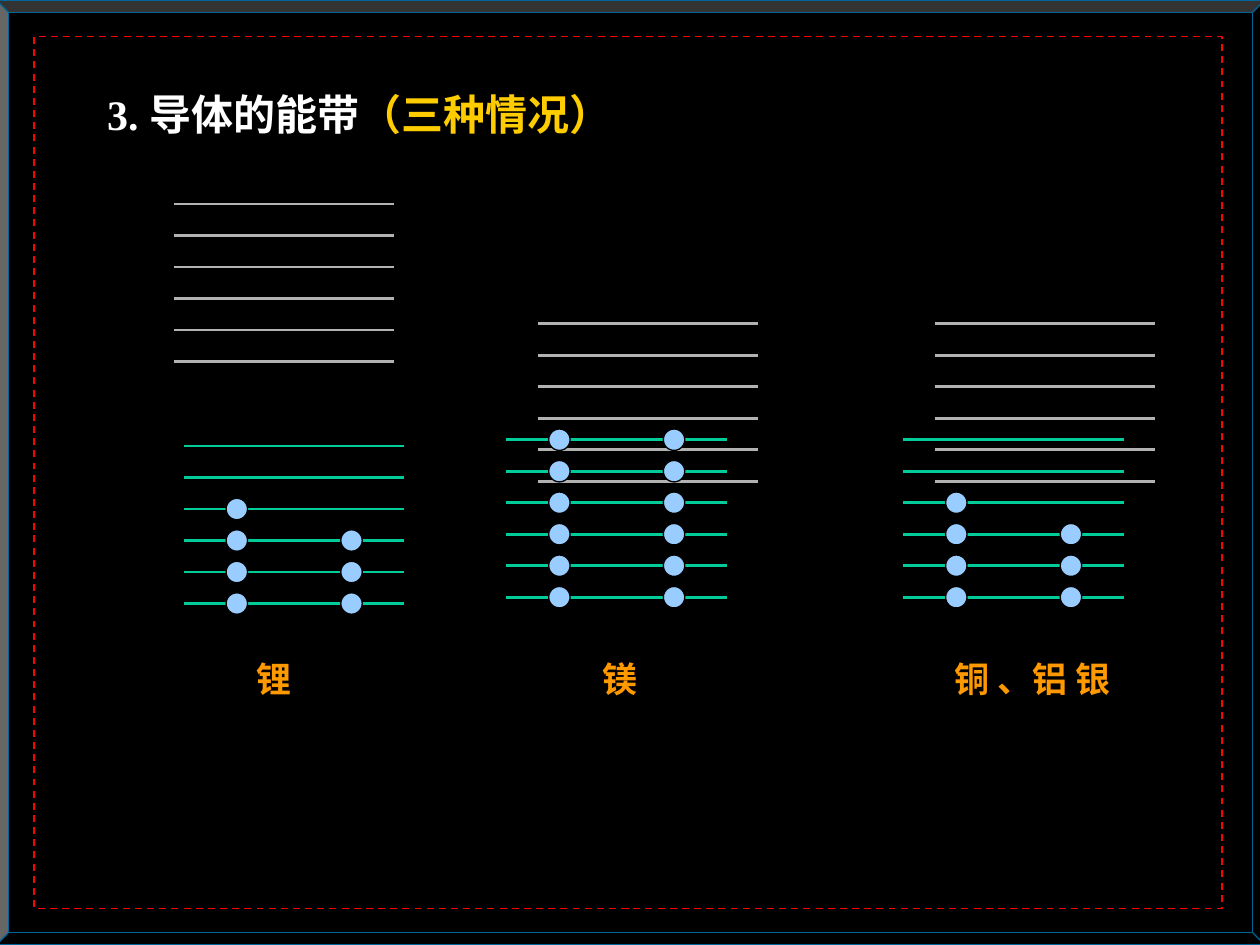
from lxml import etree
from pptx import Presentation
from pptx import util as u
from pptx.dml.color import RGBColor
from pptx.enum import dml, shapes, text
from pptx.oxml.ns import qn

CJK = "Noto Sans CJK SC"
LEVELS = 6
LEVEL_GAP = 0.25
LEVEL_WIDTH = 1.75
DOT = 0.17
DOT_COLUMNS = (0.42, 1.33)


def colour(value):
    """Turn a hex string into a colour."""
    return RGBColor.from_string(value)


def paint(shape, line, width, fill=None):
    """Give a shape its fill and outline, without a shadow."""
    shape.shadow.inherit = False
    if fill:
        shape.fill.solid()
        shape.fill.fore_color.rgb = colour(fill)
    else:
        shape.fill.background()
    shape.line.color.rgb = colour(line)
    shape.line.width = u.Pt(width)


def style_text(box, font_name, size):
    """Set the frame and the bold paragraph font of a text box."""
    frame = box.text_frame
    frame.word_wrap = True
    frame.auto_size = text.MSO_AUTO_SIZE.NONE
    frame.vertical_anchor = text.MSO_ANCHOR.TOP
    frame.margin_left = frame.margin_right = u.Inches(0.1)
    frame.margin_top = frame.margin_bottom = u.Inches(0.05)
    para = frame.paragraphs[0]
    para.alignment = text.PP_ALIGN.LEFT
    para.font.name = font_name
    para.font.size = u.Pt(size)
    para.font.bold = True
    for span in para.runs:
        properties = span.font._element
        etree.SubElement(properties, qn("a:ea")).set("typeface", CJK)
    return para


def add_frame(page):
    """Draw the bevelled border and the dashed inner border."""
    bevel = page.shapes.add_shape(shapes.MSO_SHAPE.BEVEL, u.Inches(-0.03), 0,
                                  u.Inches(10.07), u.Inches(7.5))
    bevel.adjustments[0] = 0.013
    paint(bevel, "006699", 0.75, "000000")
    border = page.shapes.add_shape(shapes.MSO_SHAPE.RECTANGLE, u.Inches(0.27), u.Inches(0.29),
                                   u.Inches(9.43), u.Inches(6.92))
    paint(border, "FF0000", 1)
    border.line.dash_style = dml.MSO_LINE.DASH


def add_title(page, left, top, width, height):
    """Place the two-coloured title in front of the frame."""
    title = page.shapes.title
    title.left, title.top = u.Inches(left), u.Inches(top)
    title.width, title.height = u.Inches(width), u.Inches(height)
    para = title.text_frame.paragraphs[0]
    for words, hue in (("3. 导体的能带", "FFFFFF"), ("（三种情况）", "FFCC00")):
        span = para.add_run()
        span.text = words
        span.font.color.rgb = colour(hue)
    style_text(title, "Times New Roman", 24)
    title._element.getparent().append(title._element)


def add_band(group, left, top, hue):
    """Draw one band of evenly spaced energy levels."""
    for level in range(LEVELS):
        y = u.Inches(top + level * LEVEL_GAP)
        line = group.shapes.add_connector(shapes.MSO_CONNECTOR.STRAIGHT, u.Inches(left), y,
                                          u.Inches(left + LEVEL_WIDTH), y)
        line.line.color.rgb = colour(hue)
        line.line.width = u.Pt(1.5)
        etree.SubElement(line._element.spPr, qn("a:effectLst"))


def add_electrons(group, left, top, counts):
    """Fill the band's two columns with electrons from the lowest level up."""
    for column, count in zip(DOT_COLUMNS, counts):
        for level in range(LEVELS - count, LEVELS):
            dot = group.shapes.add_shape(
                shapes.MSO_SHAPE.OVAL, u.Inches(left + column - DOT / 2),
                u.Inches(top + level * LEVEL_GAP - DOT / 2), u.Inches(DOT), u.Inches(DOT))
            paint(dot, "000000", 0.75, "99CCFF")


def add_conductor(page, left, top, upper_offset, counts, name, label_offset, label_width):
    """Draw an upper band, a lower band with electrons, and the metal's name."""
    group = page.shapes.add_group_shape()
    add_band(group, left + upper_offset[0], top + upper_offset[1], "B2B2B2")
    add_band(group, left, top, "00CC99")
    add_electrons(group, left, top, counts)
    label = page.shapes.add_textbox(u.Inches(left + label_offset), u.Inches(5.17),
                                    u.Inches(label_width), u.Inches(0.44))
    label.text_frame.text = name
    para = style_text(label, CJK, 20)
    para.font.color.rgb = colour("FF9900")


def main():
    """Build and save the slide."""
    deck = Presentation()
    deck.slide_width, deck.slide_height = u.Inches(10), u.Inches(7.5)
    page = deck.slides.add_slide(deck.slide_layouts[5])
    page.background.fill.solid()
    page.background.fill.fore_color.rgb = colour("000000")
    add_frame(page)
    add_title(page, 0.75, 0.65, 5.35, 0.5)
    add_conductor(page, 1.46, 3.54, (-0.08, -1.92), (4, 3), "锂", 0.48, 0.5)
    add_conductor(page, 4.02, 3.49, (0.25, -0.92), (6, 6), "镁", 0.66, 0.5)
    add_conductor(page, 7.17, 3.49, (0.25, -0.92), (4, 3), "铜 、铝 银", 0.31, 1.73)
    deck.save("out.pptx")


if __name__ == "__main__":
    main()
